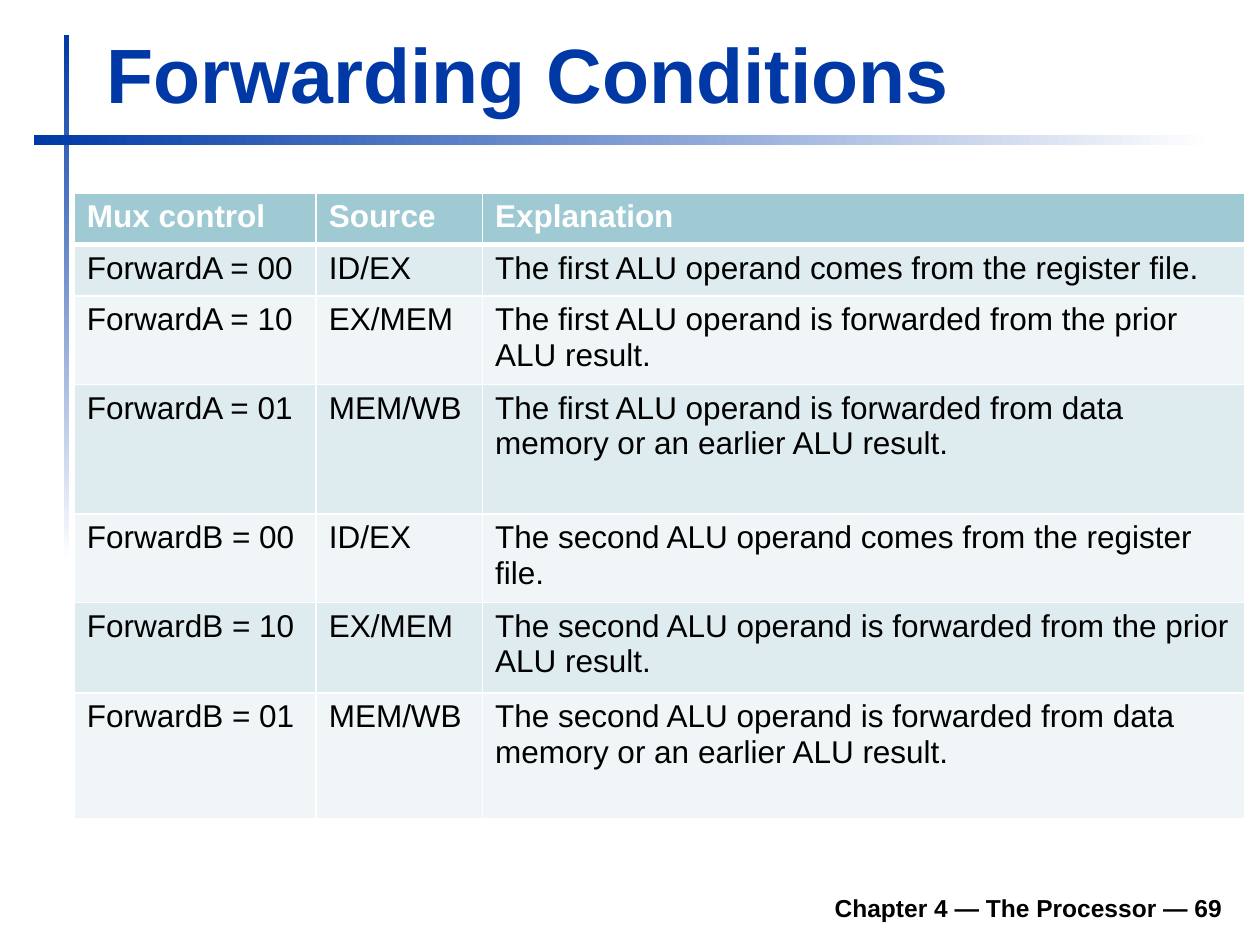
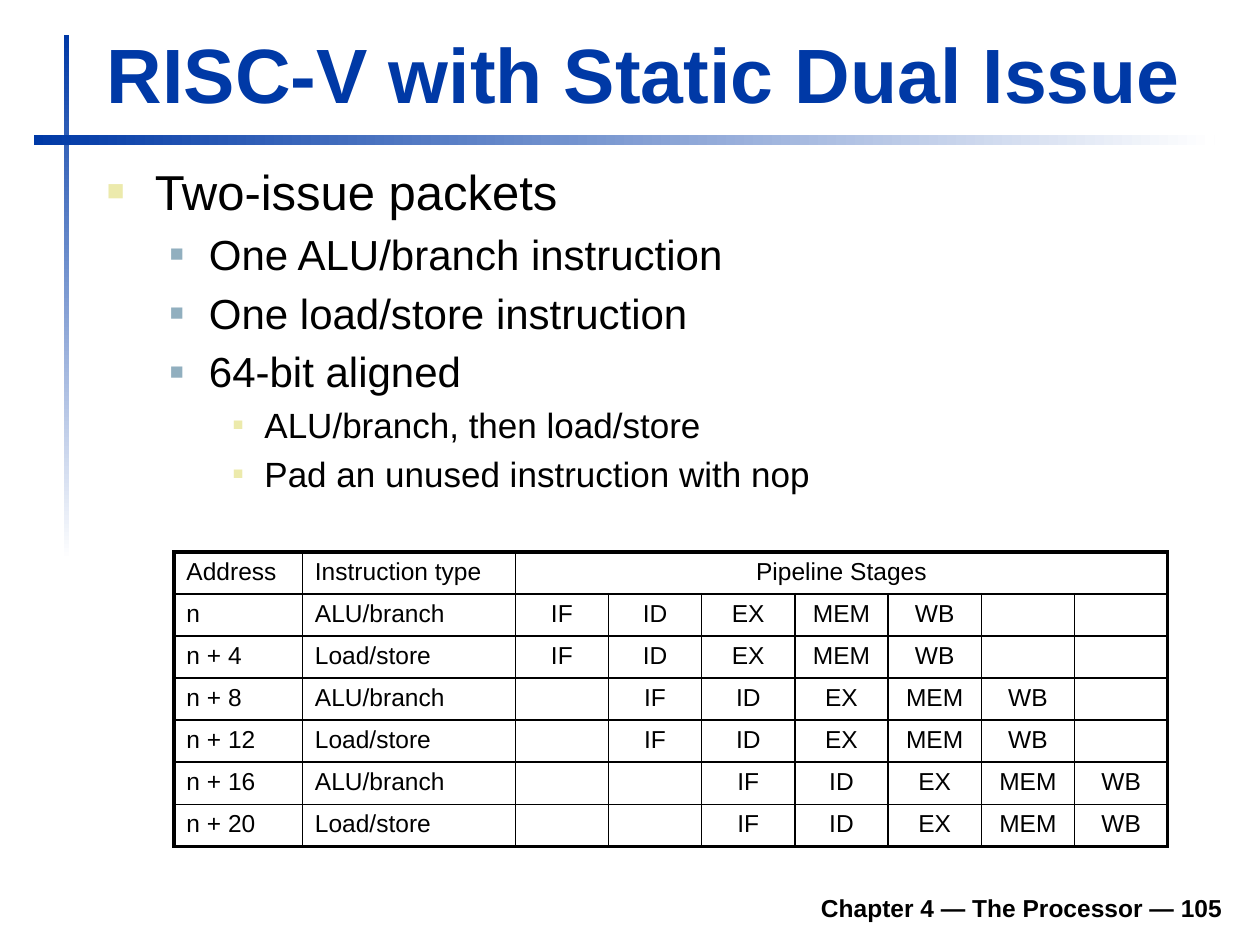
from lxml import etree
from pptx import Presentation
from pptx.dml.color import RGBColor
from pptx.enum.shapes import MSO_SHAPE
from pptx.enum.text import MSO_ANCHOR, PP_ALIGN
from pptx.oxml.ns import qn
from pptx.util import Inches, Pt

RECT = MSO_SHAPE.RECTANGLE
TOP, BOTTOM = MSO_ANCHOR.TOP, MSO_ANCHOR.BOTTOM
LEFT, CENTER, RIGHT = PP_ALIGN.LEFT, PP_ALIGN.CENTER, PP_ALIGN.RIGHT

THEME = {
    "font": "Arial",
    "blue": "0039A6", "white": "FFFFFF", "black": "000000",
    "header": "9FCAD3", "bands": ["DFECEF", "F0F6F7"],
    "title": {"size": Pt(44), "bold": True},
    "footer": {"size": Pt(14), "bold": True},
    "table_head": {"size": Pt(18), "bold": True},
    "table_body": {"size": Pt(18), "bold": False},
    "pipeline": {"size": Pt(14), "bold": False},
    "levels": [
        {"size": 28, "left": 0.38, "hang": 0.38, "bullet": "ECEAAC", "scale": 60},
        {"size": 24, "left": 0.81, "hang": 0.31, "bullet": "91AFBF", "scale": 55},
        {"size": 20, "left": 1.25, "hang": 0.25, "bullet": "ECEAAC", "scale": 50},
    ],
}


def write(tf, text, formats, color, align=LEFT, new=False):
    p = tf.add_paragraph() if new else tf.paragraphs[0]
    p.alignment = align
    if text:
        r = p.add_run()
        r.text = text
        for name, value in {"name": THEME["font"], **formats}.items():
            setattr(r.font, name, value)
        r.font.color.rgb = RGBColor.from_string(color)
    else:
        end = etree.SubElement(p._p, qn("a:endParaRPr"))
        end.set("sz", str(int(formats["size"].pt * 100)))
    return p


def style_cell(cell, fill, line, widths):
    if fill:
        cell.fill.solid()
        cell.fill.fore_color.rgb = RGBColor.from_string(fill)
    else:
        cell.fill.background()
    tcPr = cell._tc.get_or_add_tcPr()
    for i, (side, width) in enumerate(zip("LRTB", widths)):
        ln = etree.Element(qn(f"a:ln{side}"), w=str(Pt(width)))
        solid = etree.SubElement(ln, qn("a:solidFill"))
        etree.SubElement(solid, qn("a:srgbClr"), val=line)
        tcPr.insert(i, ln)


prs = Presentation()
prs.slide_width, prs.slide_height = Inches(10), Inches(7.5)

bars = [((0.51, 0.28, 0.04, 4.17), 270), ((0.27, 1.07, 9.37, 0.08), 0)]
pages = [("Forwarding Conditions", 69), ("RISC-V with Static Dual Issue", 105)]
slides = []
for title, number in pages:
    s = prs.slides.add_slide(prs.slide_layouts[6])
    slides.append(s)
    for box, angle in bars:
        sp = s.shapes.add_shape(RECT, *map(Inches, box))
        sp.shadow.inherit = False
        sp.line.fill.background()
        sp.fill.gradient()
        sp.fill.gradient_angle = angle
        for stop, color in zip(sp.fill.gradient_stops, ("blue", "white")):
            stop.color.rgb = RGBColor.from_string(THEME[color])
    texts = [
        ((1.85, 6.98, 7.95, 0.39), f"Chapter 4 — The Processor — {number}", "footer", "black", RIGHT),
        ((0.75, 0.16, 9.03, 0.83), title, "title", "blue", LEFT),
    ]
    for box, text, role, color, align in texts:
        tf = s.shapes.add_textbox(*map(Inches, box)).text_frame
        tf.word_wrap = True
        tf.vertical_anchor = BOTTOM
        write(tf, text, THEME[role], THEME[color], align)

conditions, dual_issue = slides

rows = [("Mux control", "Source", "Explanation")]
for unit, operand in (("A", "first"), ("B", "second")):
    start = f"The {operand} ALU operand"
    rows += [
        (f"Forward{unit} = 00", "ID/EX", f"{start} comes from the register file."),
        (f"Forward{unit} = 10", "EX/MEM", f"{start} is forwarded from the prior ALU result."),
        (f"Forward{unit} = 01", "MEM/WB",
         f"{start} is forwarded from data memory or an earlier ALU result."),
    ]
col_widths = [1.92, 1.32, 6.05]
row_heights = [0.41, 0.41, 0.7, 1.03, 0.7, 0.72, 1]
table = conditions.shapes.add_table(
    len(rows), len(col_widths), Inches(0.59), Inches(1.53),
    Inches(sum(col_widths)), Inches(sum(row_heights))).table
for col, width in zip(table.columns, col_widths):
    col.width = Inches(width)
for i, row in enumerate(rows):
    table.rows[i].height = Inches(row_heights[i])
    head = i == 0
    fill = THEME["header"] if head else THEME["bands"][(i - 1) % 2]
    widths = (1, 1, 3 if i == 1 else 1, 3 if head else 1)
    for j, text in enumerate(row):
        cell = table.cell(i, j)
        style_cell(cell, fill, THEME["white"], widths)
        write(cell.text_frame, text, THEME["table_head" if head else "table_body"],
              THEME["white" if head else "black"])

bullets = [
    (0, "Two-issue packets"),
    (1, "One ALU/branch instruction"),
    (1, "One load/store instruction"),
    (1, "64-bit aligned"),
    (2, "ALU/branch, then load/store"),
    (2, "Pad an unused instruction with nop"),
]
tf = dual_issue.shapes.add_textbox(*map(Inches, (0.75, 1.23, 9.05, 3.02))).text_frame
tf.word_wrap = True
tf.vertical_anchor = TOP
for i, (level, text) in enumerate(bullets):
    look = THEME["levels"][level]
    p = write(tf, text, {"size": Pt(look["size"])}, THEME["black"], new=i > 0)
    p.level = level
    pPr = p._p.get_or_add_pPr()
    pPr.set("marL", str(Inches(look["left"])))
    pPr.set("indent", str(-Inches(look["hang"])))
    before = etree.SubElement(pPr, qn("a:spcBef"))
    etree.SubElement(before, qn("a:spcPct"), val="20000")
    color = etree.SubElement(pPr, qn("a:buClr"))
    etree.SubElement(color, qn("a:srgbClr"), val=look["bullet"])
    etree.SubElement(pPr, qn("a:buSzPct"), val=str(look["scale"] * 1000))
    etree.SubElement(pPr, qn("a:buFont"), typeface=THEME["font"])
    etree.SubElement(pPr, qn("a:buChar"), char="■")

stages = ["IF", "ID", "EX", "MEM", "WB"]
slots = 7
rows = [["Address", "Instruction type", "Pipeline Stages"] + [""] * (slots - 1)]
for i in range(6):
    delay = i // 2
    rows.append([f"n + {4 * i}" if i else "n", ("ALU/branch", "Load/store")[i % 2]]
                + [""] * delay + stages + [""] * (slots - len(stages) - delay))
col_widths = [1.02, 1.69] + [0.74] * slots
row_height = 0.32
last_row, last_col = len(rows) - 1, len(col_widths) - 1
table = dual_issue.shapes.add_table(
    len(rows), len(col_widths), Inches(1.38), Inches(4.38),
    Inches(sum(col_widths)), Inches(row_height * len(rows))).table
table.first_row = table.horz_banding = False
for col, width in zip(table.columns, col_widths):
    col.width = Inches(width)
table.cell(0, 2).merge(table.cell(0, last_col))
for i, row in enumerate(rows):
    table.rows[i].height = Inches(row_height)
    for j, text in enumerate(row):
        cell = table.cell(i, j)
        at_right = j == last_col or cell.is_merge_origin
        style_cell(cell, None, THEME["black"], (
            2.25 if j == 0 else 1,
            2.25 if at_right else 1,
            {0: 2.25, 1: 1.5}.get(i, 1),
            {0: 1.5, last_row: 2.25}.get(i, 1)))
        write(cell.text_frame, text, THEME["pipeline"], THEME["black"],
              LEFT if j < 2 else CENTER)

prs.save("out.pptx")
